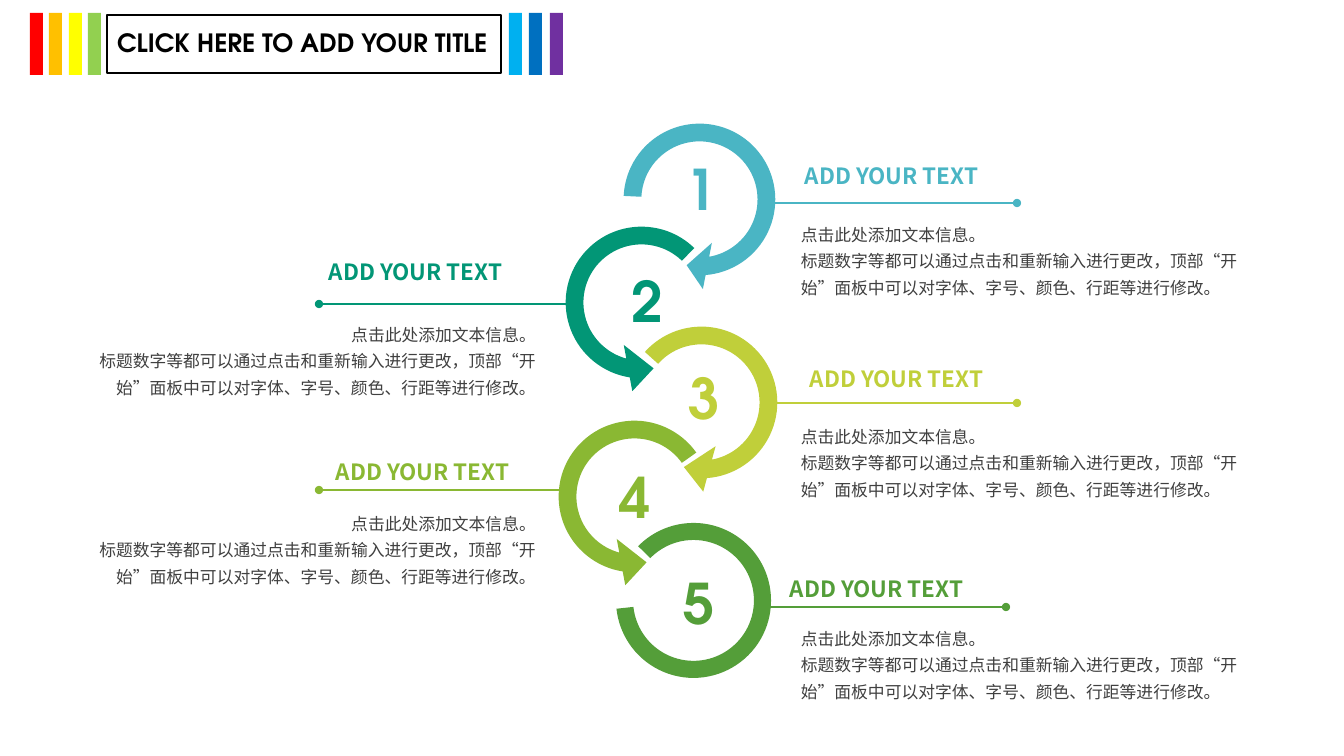
from collections import namedtuple

from pptx import Presentation
from pptx.dml.color import RGBColor
from pptx.enum.shapes import MSO_CONNECTOR, MSO_SHAPE
from pptx.enum.text import MSO_ANCHOR, MSO_AUTO_SIZE, PP_ALIGN
from pptx.oxml.ns import qn
from pptx.util import Pt
from lxml import etree

PIXEL = 914400 / 100.8
LEFT, RIGHT = PP_ALIGN.LEFT, PP_ALIGN.RIGHT
MIDDLE = MSO_ANCHOR.MIDDLE
GROW, FIXED = MSO_AUTO_SIZE.SHAPE_TO_FIT_TEXT, MSO_AUTO_SIZE.NONE
RECTANGLE, ARROW, ARC = MSO_SHAPE.RECTANGLE, MSO_SHAPE.CIRCULAR_ARROW, MSO_SHAPE.BLOCK_ARC
STRAIGHT = MSO_CONNECTOR.STRAIGHT
DISPLAY, SANS = "TeX Gyre Adventor", "Noto Sans CJK SC"

COLORS = {
    "red": "FF0000", "orange": "FFC000", "yellow": "FFFF00", "lime": "92D050",
    "sky": "00B0F0", "blue": "0070C0", "purple": "7030A0", "black": "000000",
    "aqua": "4AB5C4", "teal": "029676", "citron": "C0CF3A", "olive": "8AB833",
    "green": "549E39", "gray": "404040",
}
BARS = {"red": 30, "orange": 49, "yellow": 69, "lime": 88,
        "sky": 509, "blue": 529, "purple": 550}
HEADING = "ADD YOUR TEXT"
DETAILS = [
    "点击此处添加文本信息。",
    "标题数字等都可以通过点击和重新输入进行更改，顶部“开始”面板中可以对字体、字号、颜色、"
    "行距等进行修改。",
]
LINE_LENGTH = 249

# Offsets of number, heading, line start and details count from the ring's corner.
Step = namedtuple("Step", "color box kind turn adjust side number heading line details")
STEPS = [
    Step("aqua", (609, 109, 181, 181), ARROW, 22.1, (0.098, 10.686, 36.658, 96.33, 0.13),
         1, (67, 41), (186, 48), (159, 94), (182, 105)),
    Step("teal", (551, 212, 181, 181), ARROW, 342.7, (0.098, 13.213, 36.658, 125.165, 0.13),
         -1, (71, 50), (-232, 41), (17, 92), (-481, 102)),
    Step("citron", (611, 312, 181, 181), ARROW, 22.1, (0.098, 13.213, 36.658, 119.795, 0.13),
         1, (68, 47), (189, 48), (157, 91), (180, 104)),
    Step("olive", (544, 406, 181, 181), ARROW, 342.7, (0.098, 13.213, 36.658, 118.868, 0.13),
         -1, (66, 52), (-218, 47), (24, 84), (-474, 97)),
    Step("green", (616, 523, 155, 155), ARC, 56.3, (100.856, 70.522, 0.11),
         1, (58, 41), (164, 47), (141, 84), (175, 95)),
]


def emu(*lengths):
    """Turn pixel lengths into EMU."""
    return [round(length * PIXEL) for length in lengths]


def rgb(name):
    """Look up a colour by name."""
    return RGBColor.from_string(COLORS[name])


def write_text(shape, paragraphs, *, font, size, color, bold=False, align=LEFT,
               wrap=True, fit=GROW, spacing=None, before=None):
    """Fill a shape with equally formatted paragraphs."""
    frame = shape.text_frame
    frame.text = "\n".join(paragraphs)
    frame.word_wrap, frame.auto_size = wrap, fit
    for para in frame.paragraphs:
        para.alignment, para.line_spacing, para.space_before = align, spacing, before
        for span in para.runs:
            span.font.name, span.font.size, span.font.bold = font, Pt(size), bold
            span.font.color.rgb = rgb(color)
            east_asian = etree.SubElement(span.font._element, qn("a:ea"))
            east_asian.set("typeface", font)


def add_filled(page, kind, box, color):
    """Add a preset shape in one flat colour."""
    shape = page.shapes.add_shape(kind, *emu(*box))
    shape.shadow.inherit = False
    shape.fill.solid()
    shape.fill.fore_color.rgb = rgb(color)
    shape.line.fill.background()
    return shape


def add_pointer(page, start, length, color):
    """Add a horizontal line that ends in a dot."""
    left, top = start
    pointer = page.shapes.add_connector(STRAIGHT, *emu(left, top, left + length, top))
    pointer.line.color.rgb = rgb(color)
    pointer.line.width = Pt(1.5)
    outline = pointer.line._get_or_add_ln()
    etree.SubElement(outline, qn("a:tailEnd")).set("type", "oval")
    etree.SubElement(pointer._element.spPr, qn("a:effectLst"))


def add_header(page, box):
    """Place the framed title between the rainbow bars."""
    left, top, width, height = box
    for color, bar_left in BARS.items():
        add_filled(page, RECTANGLE, (bar_left, top, 13, height), color)
    title = page.shapes.title
    title.left, title.top, title.width, title.height = emu(left, top + 2, width, height - 4)
    title.line.color.rgb = rgb("black")
    title.line.width = Pt(1)
    write_text(title, ["CLICK HERE TO ADD YOUR TITLE"], font=DISPLAY, size=18,
               color="black", bold=True, fit=FIXED, spacing=0.9, before=Pt(10))
    title.text_frame.vertical_anchor = MIDDLE


def add_step(page, box, step, number):
    """Place one ring with its number, pointer, heading and details."""
    left, top = box[:2]

    def shifted(offset):
        """Move an offset to the ring's corner."""
        return left + offset[0], top + offset[1]

    def add_label(offset, extent, paragraphs, **style):
        """Add a text box at an offset from the ring."""
        label = page.shapes.add_textbox(*emu(*shifted(offset), *extent))
        write_text(label, paragraphs, **style)

    add_pointer(page, shifted(step.line), step.side * LINE_LENGTH, step.color)
    ring = add_filled(page, step.kind, box, step.color)
    ring.rotation = step.turn
    for index, value in enumerate(step.adjust):
        ring.adjustments[index] = value
    if step.side < 0:
        ring._element.spPr.find(qn("a:xfrm")).set("flipH", "1")

    add_label(step.number, (49, 78), [str(number)], font=DISPLAY, size=40,
              color=step.color, bold=True, wrap=False)
    add_label(step.heading, (211, 37), [HEADING], font=SANS, size=16,
              color=step.color, bold=True, wrap=False)
    add_label(step.details, (476, 90), DETAILS, font=SANS, size=12, color="gray",
              align=LEFT if step.side > 0 else RIGHT, spacing=1.3)


def build():
    """Build the deck and save it."""
    deck = Presentation()
    deck.slide_width, deck.slide_height = emu(1344, 756)
    page = deck.slides.add_slide(deck.slide_layouts.get_by_name("Title Only"))
    add_header(page, (107, 13, 394, 62))
    for number, step in enumerate(STEPS, start=1):
        add_step(page, step.box, step, number)
    deck.save("out.pptx")


build()
